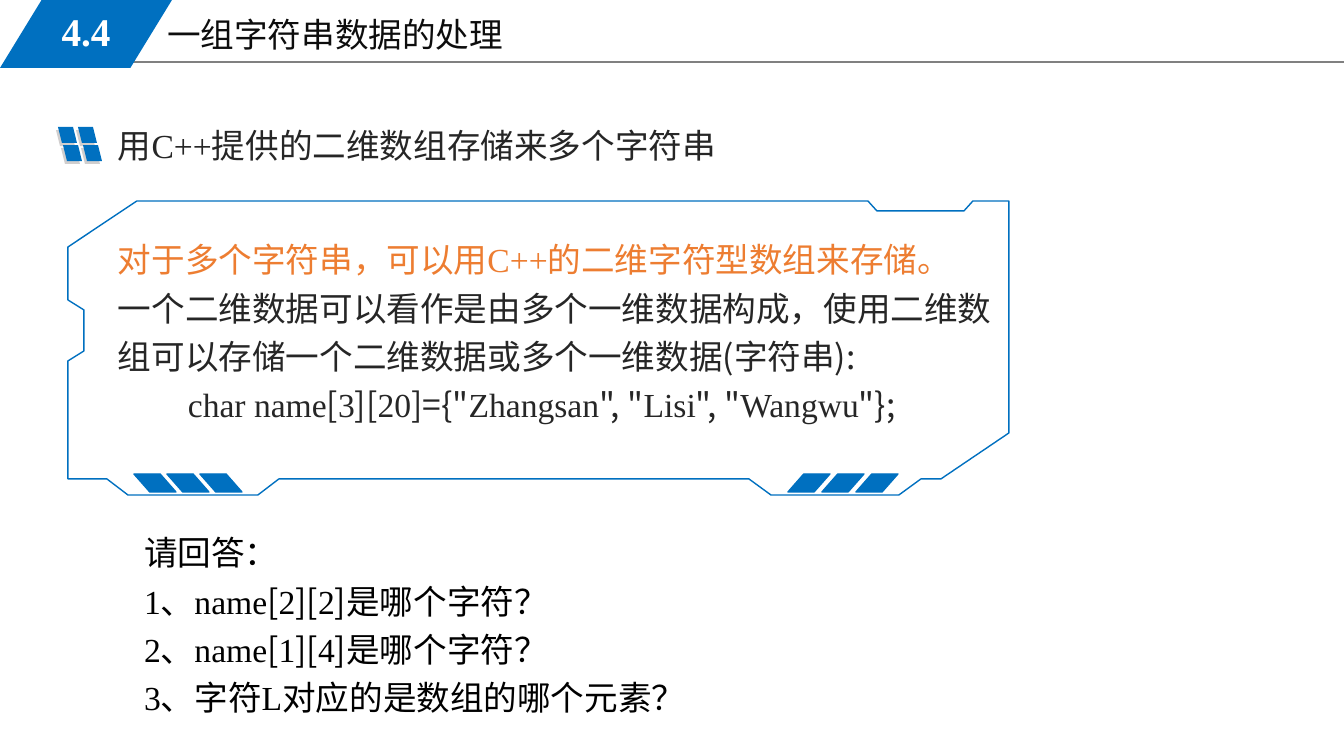
from lxml import etree
from pptx import Presentation
from pptx import util as u
from pptx.dml.color import RGBColor
from pptx.enum import shapes, text
from pptx.oxml import ns

PX = 914400 / 100.8
BLUE, GREY, DARK, ORANGE, BLACK = "0070C0", "D0CECE", "262626", "ED7D31", "000000"
CHINESE, LATIN = "Noto Sans CJK SC", "Times New Roman"


def paint(target, colour):
    if hasattr(target, "solid"):
        target.solid()
        target = target.fore_color
    target.rgb = RGBColor.from_string(colour)


def write(shape, box, lines, size=24, anchor=text.MSO_ANCHOR.TOP, spacing=1.0):
    shape.left, shape.top, shape.width, shape.height = [round(v * PX) for v in box]
    frame = shape.text_frame
    frame.word_wrap = True
    frame.auto_size = text.MSO_AUTO_SIZE.NONE
    frame.vertical_anchor = anchor
    for number, (line, colour, indent) in enumerate(lines):
        paragraph = frame.add_paragraph() if number else frame.paragraphs[0]
        properties = paragraph._p.get_or_add_pPr()
        properties.set("marL", "0")
        properties.set("indent", str(round(indent * PX)))
        etree.SubElement(properties, ns.qn("a:buNone"))
        paragraph.alignment = text.PP_ALIGN.LEFT
        paragraph.line_spacing = spacing
        paragraph.space_before = u.Pt(0)
        for position, part in enumerate(line.split("|")):
            if part:
                run = paragraph.add_run()
                run.text = part
                run.font.size = u.Pt(size)
                run.font.name = LATIN if position % 2 else CHINESE
                paint(run.font.color, colour)
                east_asian = etree.SubElement(run._r.get_or_add_rPr(), ns.qn("a:ea"))
                east_asian.set("typeface", CHINESE)


presentation = Presentation()
presentation.slide_width = round(1344 * PX)
presentation.slide_height = round(756 * PX)
slide = presentation.slides.add_slide(presentation.slide_layouts[1])

rule = slide.shapes.add_connector(
    shapes.MSO_CONNECTOR.STRAIGHT, *[round(v * PX) for v in (114, 62, 1344, 62)])
paint(rule.line.color, "808080")
rule.line.width = u.Pt(0.75)
etree.SubElement(rule._element.spPr, ns.qn("a:effectLst"))

write(slide.shapes.title, (157, 9, 572, 51), [("|一组字符串数据的处理", "0D0D0D", 0)])

parallelograms = [(0, 0, 172, 68, 0.612, False, BLUE, False)]
for left, top, colour in ((56, 130, GREY), (58, 127, BLUE)):
    for column in range(2):
        for row in range(2):
            parallelograms.append((left + 20 * column + 5 * row, top + 18 * row,
                                   19, 16, 0.25, True, colour, False))
for left, step, flipped in ((788, 34, False), (134, 33, True)):
    for bar in range(3):
        parallelograms.append((left + step * bar, 474, 42, 18, 0.88, flipped, BLUE, True))

for left, top, width, height, slant, flipped, colour, outlined in parallelograms:
    shape = slide.shapes.add_shape(
        shapes.MSO_SHAPE.PARALLELOGRAM, *[round(v * PX) for v in (left, top, width, height)])
    shape.adjustments[0] = slant
    shape.shadow.inherit = False
    paint(shape.fill, colour)
    if outlined:
        paint(shape.line.color, colour)
        shape.line.width = u.Pt(1)
    else:
        shape.line.fill.background()
    if flipped:
        shape._element.spPr.xfrm.set("flipH", "1")

section = slide.shapes.add_textbox(0, 0, 0, 0)
write(section, (25, 2, 122, 58), [("|4.4", "FFFFFF", 0)], 28, text.MSO_ANCHOR.MIDDLE)
section.text_frame.paragraphs[0].alignment = text.PP_ALIGN.CENTER
section.text_frame.paragraphs[0].runs[0].font.bold = True

heading = slide.shapes.add_textbox(0, 0, 0, 0)
write(heading, (108, 120, 717, 50), [("|用C++提供的二维数组存储来多个字符串", DARK, 0)])

frame_points = [
    (771, 495), (899, 495), (921, 479), (941, 479), (1009, 433), (1009, 201),
    (973, 201), (964, 211), (877, 211), (868, 201), (137, 201), (68, 247),
    (68, 300), (84, 310), (84, 351), (68, 361), (68, 479), (107, 479),
    (128, 495), (258, 495), (279, 479), (749, 479)]
builder = slide.shapes.build_freeform(*frame_points[0], scale=PX)
builder.add_line_segments(frame_points[1:], close=True)
panel = builder.convert_to_shape()
panel.shadow.inherit = False
panel.fill.background()
paint(panel.line.color, BLUE)
panel.line.width = u.Pt(1)

explanation = slide.shapes.add_textbox(0, 0, 0, 0)
write(explanation, (108, 226, 901, 206), [
    ("对于多个字符串，可以用|C++|的二维字符型数组来存储。", ORANGE, 0),
    ("一个二维数据可以看作是由多个一维数据构成，使用二维数组可以存储一个二维数据或多个一维数据(字符串):", DARK, 0),
    ('|char name|[|3|][|20|]={"|Zhangsan|", "|Lisi|", "|Wangwu|"};', DARK, 70),
], spacing=1.2)

write(slide.placeholders[1], (64, 519, 643, 202), [
    ("请回答：", BLACK, 70),
    ("|1|、|name|[|2|][|2|]是哪个字符？", BLACK, 70),
    ("|2|、|name|[|1|][|4|]是哪个字符？", BLACK, 70),
    ("|3|、字符|L|对应的是数组的哪个元素？", BLACK, 70),
], spacing=1.2)

presentation.save("out.pptx")
